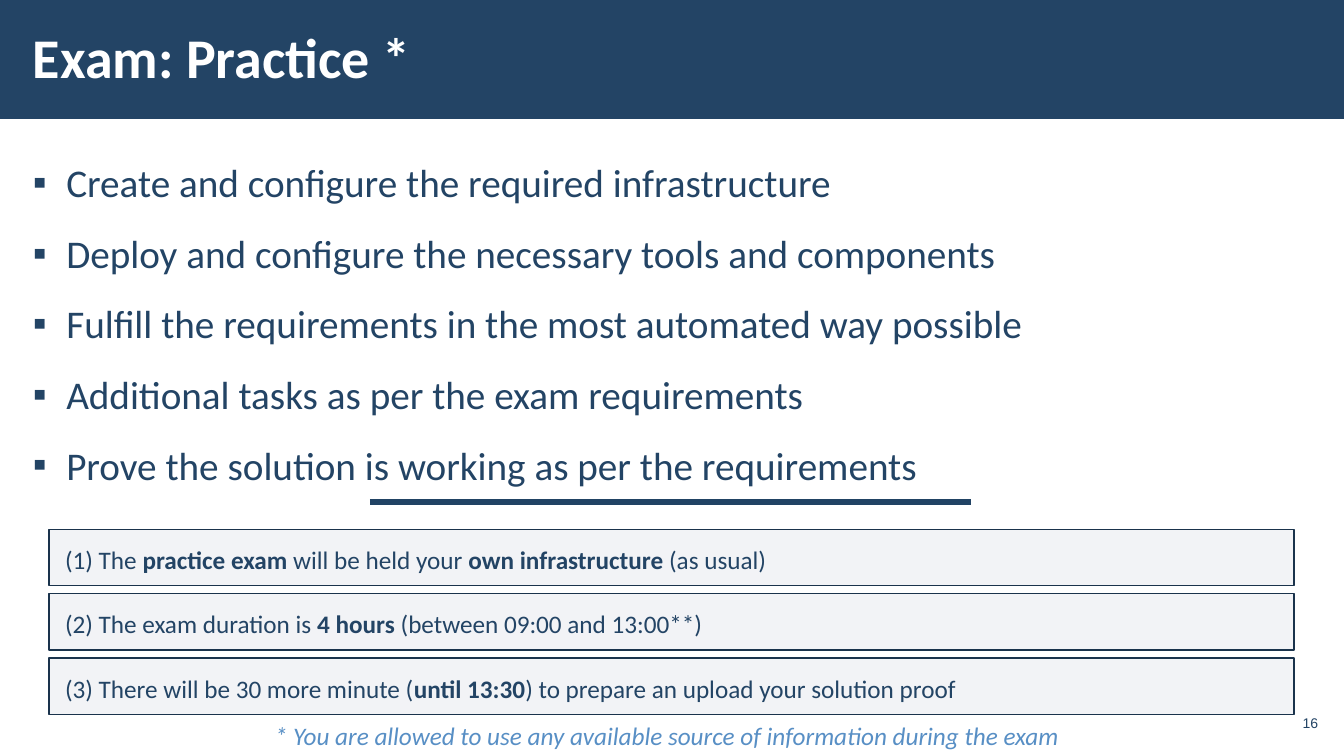
from lxml.etree import SubElement
from pptx import Presentation
from pptx.dml.color import RGBColor
from pptx.enum.shapes import MSO_CONNECTOR as Connector, MSO_SHAPE as Shape
from pptx.enum.text import MSO_ANCHOR as Anchor, MSO_AUTO_SIZE as AutoSize, PP_ALIGN as Align
from pptx.oxml.ns import qn
from pptx.util import Cm, Pt

NAVY = RGBColor(0x23, 0x44, 0x65)
RULE_NAVY = RGBColor(0x21, 0x43, 0x64)
BORDER_NAVY = RGBColor(0x1A, 0x33, 0x4C)
PANEL_GREY = RGBColor(0xAD, 0xB4, 0xC3)
NOTE_BLUE = RGBColor(0x58, 0x8F, 0xC5)
WHITE = RGBColor(0xFF, 0xFF, 0xFF)

TASKS = [
    "Create and configure the required infrastructure",
    "Deploy and configure the necessary tools and components",
    "Fulfill the requirements in the most automated way possible",
    "Additional tasks as per the exam requirements",
    "Prove the solution is working as per the requirements",
]
# Each rule alternates regular and bold pieces, beginning with a regular one.
RULES = [
    ["(1) The ", "practice exam ", "will be held your ", "own infrastructure", " (as usual)"],
    ["(2) The exam duration is ", "4 hours ", "(between 09:00 and 13:00**)"],
    ["(3) There will be 30 more minute (", "until 13:30",
     ") to prepare an upload your solution proof"],
]


def add_run(paragraph, text, size, color, bold=False, font="Calibri"):
    run = paragraph.add_run()
    run.text = text
    run.font.name = font
    run.font.size = Pt(size)
    run.font.bold = bold
    run.font.color.rgb = color
    return run


def set_frame(shape, side, top, anchor, wrap=True):
    """Set the margins, anchor and wrapping of a shape's text and return its frame."""
    frame = shape.text_frame
    frame.margin_left = frame.margin_right = Cm(side)
    frame.margin_top = frame.margin_bottom = Cm(top)
    frame.vertical_anchor = anchor
    frame.word_wrap = wrap
    frame.auto_size = AutoSize.NONE
    return frame


presentation = Presentation()
presentation.slide_width = Cm(33.87)
presentation.slide_height = Cm(19.05)
slide = presentation.slides.add_slide(presentation.slide_layouts[1])
shapes = slide.shapes
title, body = shapes.title, slide.placeholders[1]

# Header band, behind the title
header = shapes.add_shape(Shape.RECTANGLE, 0, Cm(-0.05), Cm(33.88), Cm(3.05))
header.shadow.inherit = False
header.fill.solid()
header.fill.fore_color.rgb = NAVY
header.line.fill.background()
title.element.addprevious(header.element)

title.left, title.top, title.width, title.height = Cm(0.53), Cm(0.28), Cm(26.42), Cm(2.46)
paragraph = set_frame(title, 0.3, 0.1, Anchor.MIDDLE).paragraphs[0]
paragraph.alignment = Align.LEFT
paragraph.line_spacing = 0.9
add_run(paragraph, "Exam: Practice *", 40, WHITE, bold=True)

# Task list
body.left, body.top, body.width, body.height = Cm(0.53), Cm(3.3), Cm(32.79), Cm(15.37)
frame = set_frame(body, 0.3, 0.1, Anchor.TOP)
for index, task in enumerate(TASKS):
    paragraph = frame.add_paragraph() if index else frame.paragraphs[0]
    paragraph.line_spacing = 1.5
    paragraph.space_before = paragraph.space_after = Pt(0)
    add_run(paragraph, task, 28, NAVY)
    properties = paragraph._p.get_or_add_pPr()
    properties.set("marL", str(Cm(0.84)))
    properties.set("indent", str(Cm(-0.84)))
    bullet_color = SubElement(properties, qn("a:buClr"))
    SubElement(bullet_color, qn("a:srgbClr"), val=str(NAVY))
    SubElement(properties, qn("a:buFont"), typeface="Arial")
    SubElement(properties, qn("a:buChar"), char="▪")

# Divider
divider = shapes.add_connector(Connector.STRAIGHT, Cm(9.32), Cm(12.65), Cm(24.46), Cm(12.65))
divider.line.color.rgb = RULE_NAVY
divider.line.width = Pt(4.5)
SubElement(divider.element.spPr, qn("a:effectLst"))

# Exam rules
for index, pieces in enumerate(RULES):
    panel = shapes.add_shape(
        Shape.RECTANGLE, Cm(1.24), Cm(13.34 + 1.62 * index), Cm(31.37), Cm(1.42))
    panel.shadow.inherit = False
    panel.fill.solid()
    panel.fill.fore_color.rgb = PANEL_GREY
    fill_color = panel.element.spPr.find(qn("a:solidFill"))[0]
    SubElement(fill_color, qn("a:alpha"), val="15000")
    panel.line.color.rgb = BORDER_NAVY
    panel.line.width = Pt(1)
    paragraph = set_frame(panel, 0.4, 0.3, Anchor.TOP).paragraphs[0]
    paragraph.alignment = Align.LEFT
    paragraph.line_spacing = 1.1
    for position, piece in enumerate(pieces):
        add_run(paragraph, piece, 18, NAVY, bold=position % 2 == 1)

# Footnote
footnote = shapes.add_textbox(Cm(6.53), Cm(17.78), Cm(20.78), Cm(1.42))
paragraph = set_frame(footnote, 0.4, 0.3, Anchor.TOP, wrap=False).paragraphs[0]
paragraph.line_spacing = 1.1
note = "* You are allowed to use any available source of information during the exam"
add_run(paragraph, note, 18, NOTE_BLUE).font.italic = True

# Slide number
number = shapes.add_textbox(Cm(32.13), Cm(17.78), Cm(1.19), Cm(0.86))
paragraph = set_frame(number, 0.1, 0.1, Anchor.MIDDLE).paragraphs[0]
paragraph.alignment = Align.RIGHT
add_run(paragraph, "16", 10, NAVY, font="Arial")

presentation.save("out.pptx")
